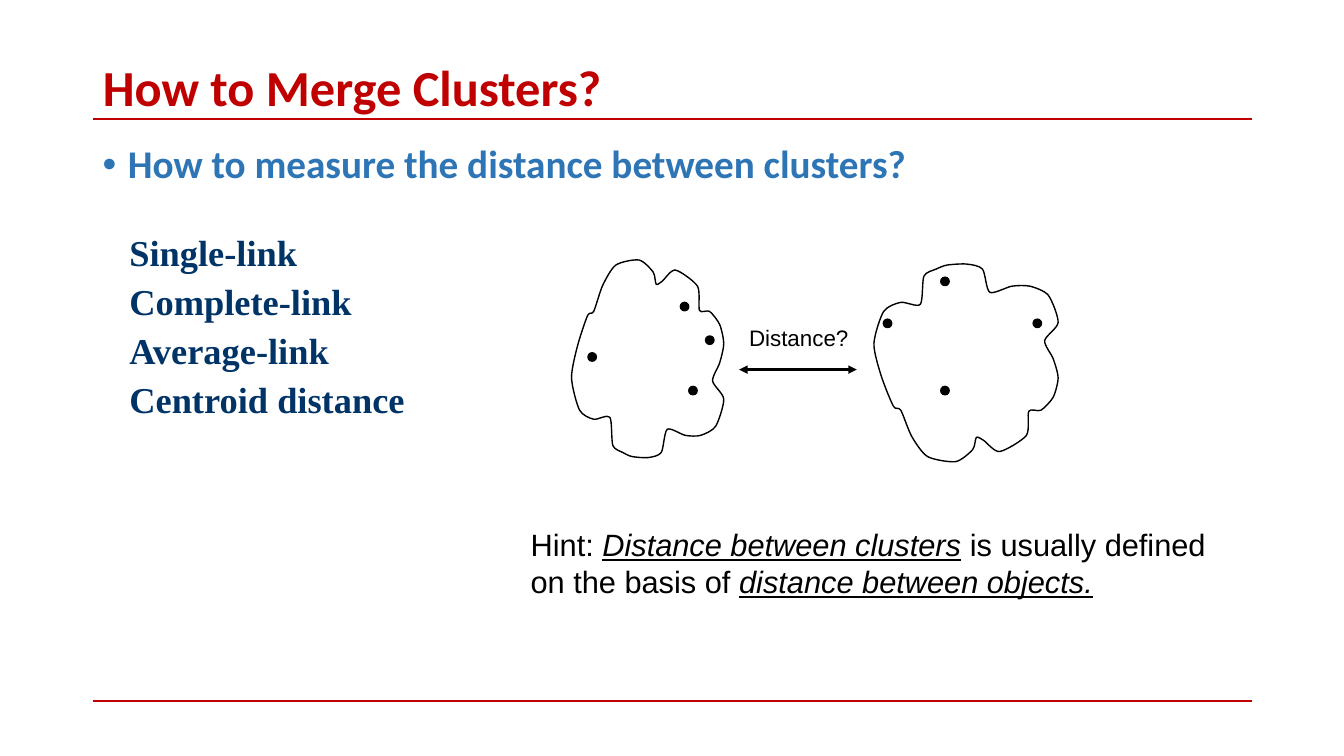
from lxml.etree import SubElement
from pptx import Presentation
from pptx.dml.color import RGBColor
from pptx.enum.shapes import MSO_CONNECTOR, MSO_SHAPE
from pptx.enum.text import MSO_ANCHOR, MSO_AUTO_SIZE, PP_ALIGN
from pptx.oxml.ns import qn
from pptx.util import Pt

COLORS = {"red": "C00000", "blue": "2E75B6", "navy": "003366", "black": "000000"}

TITLE = "How to Merge Clusters?"
QUESTION = "How to measure the distance between clusters?"
METHODS = ["Single-link", "Complete-link", "Average-link", "Centroid distance"]
DISTANCE = "Distance?"
HINT = [
    ("Hint: ", False),
    ("Distance between clusters", True),
    (" is usually defined on the basis of ", False),
    ("distance between objects.", True),
]

STYLES = {
    "title": ("red", {"name": "Calibri", "size": Pt(36), "bold": True}),
    "question": ("blue", {"name": "Calibri", "size": Pt(28), "bold": True}),
    "method": ("navy", {"name": "Times New Roman", "size": Pt(26), "bold": True}),
    "label": ("black", {"name": "Arial", "size": Pt(16)}),
    "hint": ("black", {"name": "Arial", "size": Pt(22)}),
}

# Points that the smooth cluster outline passes through, on a grid of UNIT points
UNIT = 0.72
OUTLINE_HEIGHT = 196
TENSION = 8  # a larger value gives tighter bends
OUTLINE = {
    "left side": [(16, 55), (6, 85), (0, 117), (8, 149), (22, 158)],
    "bottom lobe": [(38, 156), (41, 184), (51, 191), (60, 195), (76, 196), (89, 191)],
    "lower right lobe": [(95, 168), (113, 174), (128, 174), (143, 165), (151, 138)],
    "upper right lobe": [(140, 120), (147, 102), (151, 83), (147, 64), (137, 51)],
    "top right lobe": [(127, 50), (125, 26), (103, 10), (90, 21)],
    "top lobe": [(84, 24), (81, 12), (67, 0), (44, 5), (31, 25), (22, 51)],
}
# The right cluster is the left one, flipped and stretched
CLUSTERS = [
    {"left": 408.24, "top": 185.76, "stretch": 1, "flip": False,
     "dots": [(492, 276), (486, 216), (420, 252), (504, 240)]},
    {"left": 624.24, "top": 188.64, "stretch": 1.21, "flip": True,
     "dots": [(738, 228), (631, 228), (672, 276), (672, 198)]},
]
DOT_SIZE = 6

MARGIN, CONTENT_WIDTH = 66.24, 828
RULE_TOPS = [84.96, 500.4]
ARROW_LEFT, ARROW_RIGHT, ARROW_TOP = 528, 612, 264


def rgb(name):
    return RGBColor.from_string(COLORS[name])


def write(para, text, style):
    color, formats = STYLES[style]
    span = para.add_run()
    span.text = text
    for name, value in formats.items():
        setattr(span.font, name, value)
    span.font.color.rgb = rgb(color)
    return span


def add_text_box(page, *bounds):
    frame = page.shapes.add_textbox(*map(Pt, bounds)).text_frame
    frame.word_wrap = True
    return frame


def add_level_line(page, left, right, top, color, width):
    line = page.shapes.add_connector(MSO_CONNECTOR.STRAIGHT, *map(Pt, (left, top, right, top)))
    line.line.color.rgb = rgb(color)
    line.line.width = Pt(width)
    SubElement(line.element.spPr, qn("a:effectLst"))
    return line


def place_outline(cluster):
    """Return the outline's points on the slide, in the cluster's own proportions."""
    return [(Pt(cluster["left"] + x * cluster["stretch"] * UNIT),
             Pt(cluster["top"] + (OUTLINE_HEIGHT - y if cluster["flip"] else y) * UNIT))
            for part in OUTLINE.values() for x, y in part]


def smooth_curves(points):
    """Give two controls and an end per side; each bend runs parallel to its neighbours' chord."""
    curves = []
    for index, end in enumerate(points):
        before, start = points[index - 2], points[index - 1]
        after = points[(index + 1) % len(points)]
        leave = [s + (e - b) / TENSION for b, s, e in zip(before, start, end)]
        arrive = [e - (a - s) / TENSION for s, e, a in zip(start, end, after)]
        curves.append((leave, arrive, end))
    return curves


def add_outline(page, points):
    builder = page.shapes.build_freeform(*points[-1])
    builder.add_line_segments(points, close=True)
    outline = builder.convert_to_shape()
    sides = list(outline.element.iter(qn("a:lnTo")))
    for side, curve in zip(sides, smooth_curves(points)):
        bend = side.makeelement(qn("a:cubicBezTo"))
        for x, y in curve:
            SubElement(bend, qn("a:pt"), x=str(round(x - outline.left)),
                       y=str(round(y - outline.top)))
        side.getparent().replace(side, bend)
    outline.fill.background()
    return outline


def add_dot(page, left, top):
    dot = page.shapes.add_shape(MSO_SHAPE.OVAL, *map(Pt, (left, top, DOT_SIZE, DOT_SIZE)))
    dot.fill.solid()
    dot.fill.fore_color.rgb = rgb("black")
    return dot


def add_cluster(page, cluster):
    outline = add_outline(page, place_outline(cluster))
    dots = [add_dot(page, *corner) for corner in cluster["dots"]]
    for shape in [outline, *dots]:
        shape.shadow.inherit = False
        shape.line.color.rgb = rgb("black")
        shape.line.width = Pt(1)


def add_title(page):
    title = page.shapes.title
    bounds = {"left": MARGIN, "top": 43.92, "width": CONTENT_WIDTH, "height": 41.76}
    for name, value in bounds.items():
        setattr(title, name, Pt(value))
    title.text_frame.auto_size = MSO_AUTO_SIZE.NONE
    title.text_frame.vertical_anchor = MSO_ANCHOR.MIDDLE
    para = title.text_frame.paragraphs[0]
    para.alignment = PP_ALIGN.LEFT
    para.line_spacing = 0.9
    write(para, TITLE, "title")


def add_question(page):
    para = add_text_box(page, MARGIN, 100.08, CONTENT_WIDTH, 50).paragraphs[0]
    para.line_spacing = 0.9
    para.space_before = Pt(10)
    write(para, QUESTION, "question")
    layout = para._p.get_or_add_pPr()
    layout.set("marL", str(Pt(18)))
    layout.set("indent", str(Pt(-18)))
    SubElement(layout, qn("a:buFont"), typeface="Arial")
    SubElement(layout, qn("a:buChar"), char="•")


def add_methods(page):
    frame = add_text_box(page, 79.2, 160.56, 269.28, 175.68)
    frame.margin_left = Pt(13.2)
    for index, method in enumerate(METHODS):
        para = frame.add_paragraph() if index else frame.paragraphs[0]
        para.space_before = para.space_after = Pt(2)
        write(para, method, "method")


def add_distance(page):
    arrow = add_level_line(page, ARROW_LEFT, ARROW_RIGHT, ARROW_TOP, "black", 2)
    for end in ("a:headEnd", "a:tailEnd"):
        SubElement(arrow.line._get_or_add_ln(), qn(end), type="triangle")
    label = add_text_box(page, ARROW_LEFT, 228, 114, 26.64)
    write(label.paragraphs[0], DISTANCE, "label")


def add_hint(page):
    para = add_text_box(page, 372, 372, 501, 60.48).paragraphs[0]
    for text, stressed in HINT:
        span = write(para, text, "hint")
        span.font.italic = span.font.underline = stressed


def main():
    deck = Presentation()
    deck.slide_width, deck.slide_height = Pt(960), Pt(540)
    page = deck.slides.add_slide(deck.slide_layouts[5])
    for top in RULE_TOPS:
        add_level_line(page, MARGIN, MARGIN + CONTENT_WIDTH, top, "red", 1.5)
    add_title(page)
    add_question(page)
    add_methods(page)
    add_distance(page)
    for cluster in CLUSTERS:
        add_cluster(page, cluster)
    add_hint(page)
    deck.save("out.pptx")


if __name__ == "__main__":
    main()
